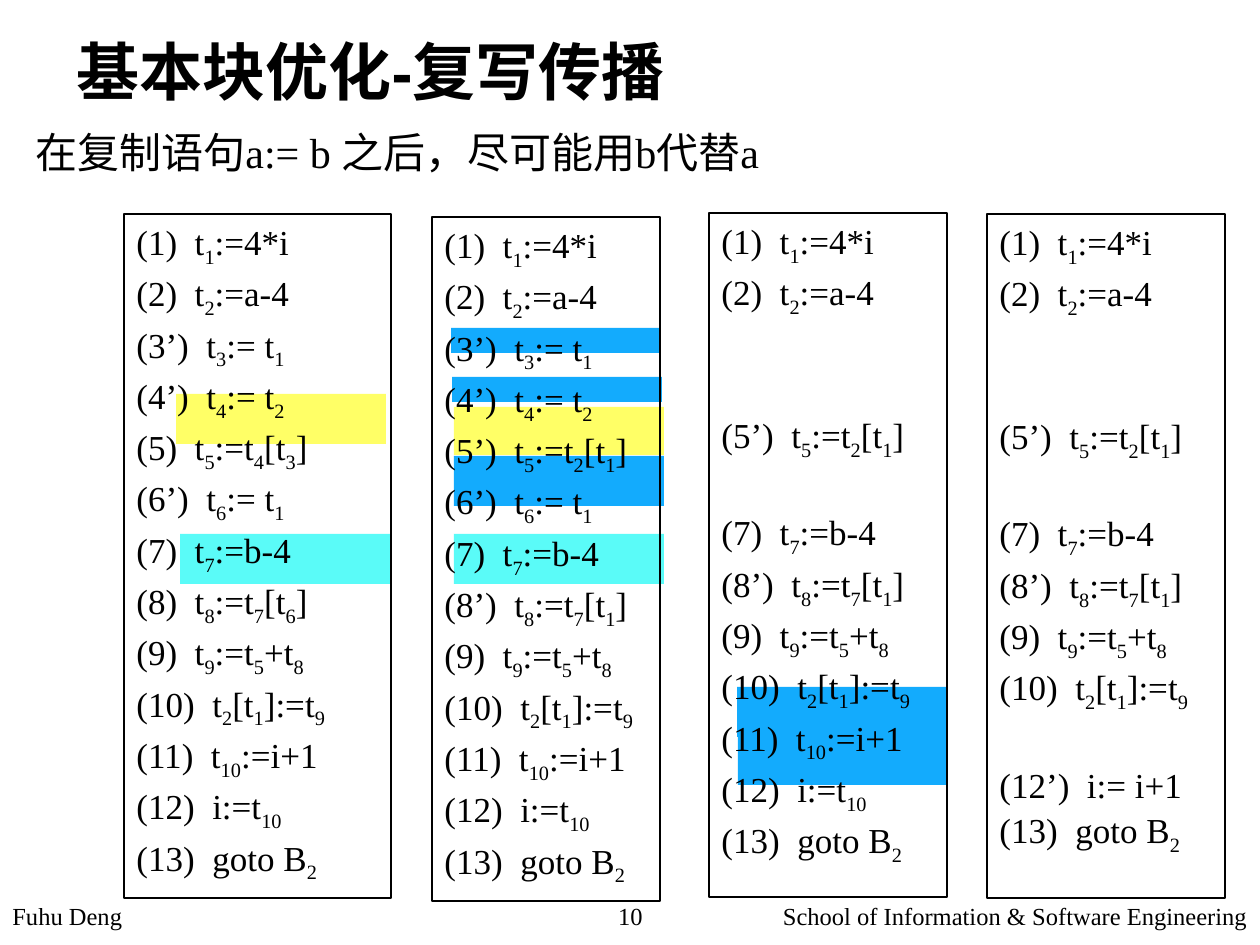
from typing import NamedTuple, Optional

from pptx import Presentation
from pptx.dml.color import RGBColor
from pptx.enum.shapes import MSO_SHAPE
from pptx.enum.text import MSO_ANCHOR, MSO_AUTO_SIZE, PP_ALIGN
from pptx.slide import Slide
from pptx.text.text import TextFrame
from pptx.util import Emu, Pt

RECTANGLE = MSO_SHAPE.RECTANGLE
TOP = MSO_ANCHOR.TOP
NO_AUTOFIT = MSO_AUTO_SIZE.NONE
LEFT, CENTER, RIGHT, JUSTIFY = (
    PP_ALIGN.LEFT, PP_ALIGN.CENTER, PP_ALIGN.RIGHT, PP_ALIGN.JUSTIFY)

BLACK = RGBColor(0x00, 0x00, 0x00)
BLUE = RGBColor(0x13, 0xAB, 0xFD)
CYAN = RGBColor(0x5A, 0xFB, 0xF8)
YELLOW = RGBColor(0xFF, 0xFF, 0x66)

SERIF = "Times New Roman"
SANS = "Arial"
PX_PER_INCH = 126
SUBSCRIPT_LINE = 29.3
PLAIN_LINE = 26.2

Statements = dict[int, Optional[str]]


class Box(NamedTuple):
    left: int
    top: int
    width: int
    height: int


class Highlight(NamedTuple):
    box: Box
    color: RGBColor


class CodeColumn(NamedTuple):
    box: Box
    statements: Statements


class Label(NamedTuple):
    box: Box
    text: str
    size: int
    alignment: PP_ALIGN


# Subscripts stand between tildes; None marks an eliminated statement.
INITIAL: Statements = dict(enumerate((
    "(1)  t~1~:=4*i",
    "(2)  t~2~:=a-4",
    "(3’)  t~3~:= t~1~",
    "(4’)  t~4~:= t~2~",
    "(5)  t~5~:=t~4~[t~3~]",
    "(6’)  t~6~:= t~1~",
    "(7)  t~7~:=b-4",
    "(8)  t~8~:=t~7~[t~6~]",
    "(9)  t~9~:=t~5~+t~8~",
    "(10)  t~2~[t~1~]:=t~9~",
    "(11)  t~10~:=i+1",
    "(12)  i:=t~10~",
    "(13)  goto B~2~",
), start=1))
PROPAGATED = INITIAL | {5: "(5’)  t~5~:=t~2~[t~1~]", 8: "(8’)  t~8~:=t~7~[t~1~]"}
REDUCED = PROPAGATED | {3: None, 4: None, 6: None}
FINAL = REDUCED | {11: None, 12: "(12’)  i:= i+1"}

COLUMNS = (
    CodeColumn(Box(124, 214, 267, 684), INITIAL),
    CodeColumn(Box(432, 217, 228, 684), PROPAGATED),
    CodeColumn(Box(709, 213, 238, 684), REDUCED),
    CodeColumn(Box(987, 214, 238, 684), FINAL),
)

HIGHLIGHTS = (
    Highlight(Box(738, 735, 210, 50), BLUE),
    Highlight(Box(737, 687, 210, 50), BLUE),
    Highlight(Box(454, 456, 210, 50), BLUE),
    Highlight(Box(452, 377, 210, 25), BLUE),
    Highlight(Box(451, 328, 210, 25), BLUE),
    Highlight(Box(454, 534, 210, 50), CYAN),
    Highlight(Box(180, 534, 210, 50), CYAN),
    Highlight(Box(454, 407, 210, 48), YELLOW),
    Highlight(Box(176, 394, 210, 50), YELLOW),
)

TITLE_BOX = Box(64, 26, 1042, 129)
LABELS = (
    Label(Box(23, 120, 1203, 63), "在复制语句a:= b 之后，尽可能用b代替a", 24, LEFT),
    Label(Box(669, 895, 591, 50), "School of Information & Software Engineering", 14, RIGHT),
    Label(Box(0, 895, 591, 50), "Fuhu Deng", 14, LEFT),
    Label(Box(591, 895, 79, 50), "10", 14, CENTER),
)


def px(length: int) -> Emu:
    return Emu(round(length * 914400 / PX_PER_INCH))


def place(box: Box) -> tuple[Emu, ...]:
    return tuple(px(length) for length in box)


def format_font(font, name: str, size: int, bold: bool = False) -> None:
    font.name = name
    font.size = Pt(size)
    font.bold = bold
    font.color.rgb = BLACK


def add_title(slide: Slide, text: str) -> None:
    title = slide.shapes.title
    title.left, title.top, title.width, title.height = place(TITLE_BOX)
    frame = title.text_frame
    frame.text = text
    frame.auto_size = NO_AUTOFIT
    frame.vertical_anchor = TOP
    paragraph = frame.paragraphs[0]
    paragraph.alignment = LEFT
    format_font(paragraph.runs[0].font, SANS, 36, bold=True)


def add_label(slide: Slide, label: Label) -> None:
    frame = slide.shapes.add_textbox(*place(label.box)).text_frame
    frame.word_wrap = True
    frame.text = label.text
    paragraph = frame.paragraphs[0]
    paragraph.alignment = label.alignment
    format_font(paragraph.runs[0].font, SERIF, label.size)


def add_rectangle(slide: Slide, box: Box):
    shape = slide.shapes.add_shape(RECTANGLE, *place(box))
    shape.shadow.inherit = False
    return shape


def add_highlight(slide: Slide, highlight: Highlight) -> None:
    shape = add_rectangle(slide, highlight.box)
    shape.fill.solid()
    shape.fill.fore_color.rgb = highlight.color
    shape.line.fill.background()


def write_statements(frame: TextFrame, statements: Statements) -> None:
    """Write one statement a line, leaving room for the eliminated ones."""
    eliminated = 0
    for number, statement in statements.items():
        if statement is None:
            eliminated += 1
            continue
        paragraph = frame.paragraphs[0] if number == 1 else frame.add_paragraph()
        paragraph.alignment = JUSTIFY
        paragraph.line_spacing = Pt(SUBSCRIPT_LINE if "~" in statement else PLAIN_LINE)
        paragraph.space_before = Pt(eliminated * PLAIN_LINE)
        eliminated = 0
        for index, part in enumerate(statement.split("~")):
            if not part:
                continue
            run = paragraph.add_run()
            run.text = part
            format_font(run.font, SERIF, 20)
            if index % 2:
                run._r.get_or_add_rPr().set("baseline", "-25000")


def add_code_column(slide: Slide, column: CodeColumn) -> None:
    shape = add_rectangle(slide, column.box)
    shape.fill.background()
    shape.line.color.rgb = BLACK
    shape.line.width = Pt(1)
    frame = shape.text_frame
    frame.word_wrap = True
    frame.vertical_anchor = TOP
    frame.margin_top = px(3)
    write_statements(frame, column.statements)


def main() -> None:
    presentation = Presentation()
    presentation.slide_width = px(1260)
    presentation.slide_height = px(945)
    slide = presentation.slides.add_slide(presentation.slide_layouts[5])
    for highlight in HIGHLIGHTS:
        add_highlight(slide, highlight)
    for column in COLUMNS:
        add_code_column(slide, column)
    add_title(slide, "基本块优化-复写传播")
    for label in LABELS:
        add_label(slide, label)
    presentation.save("out.pptx")


if __name__ == "__main__":
    main()
